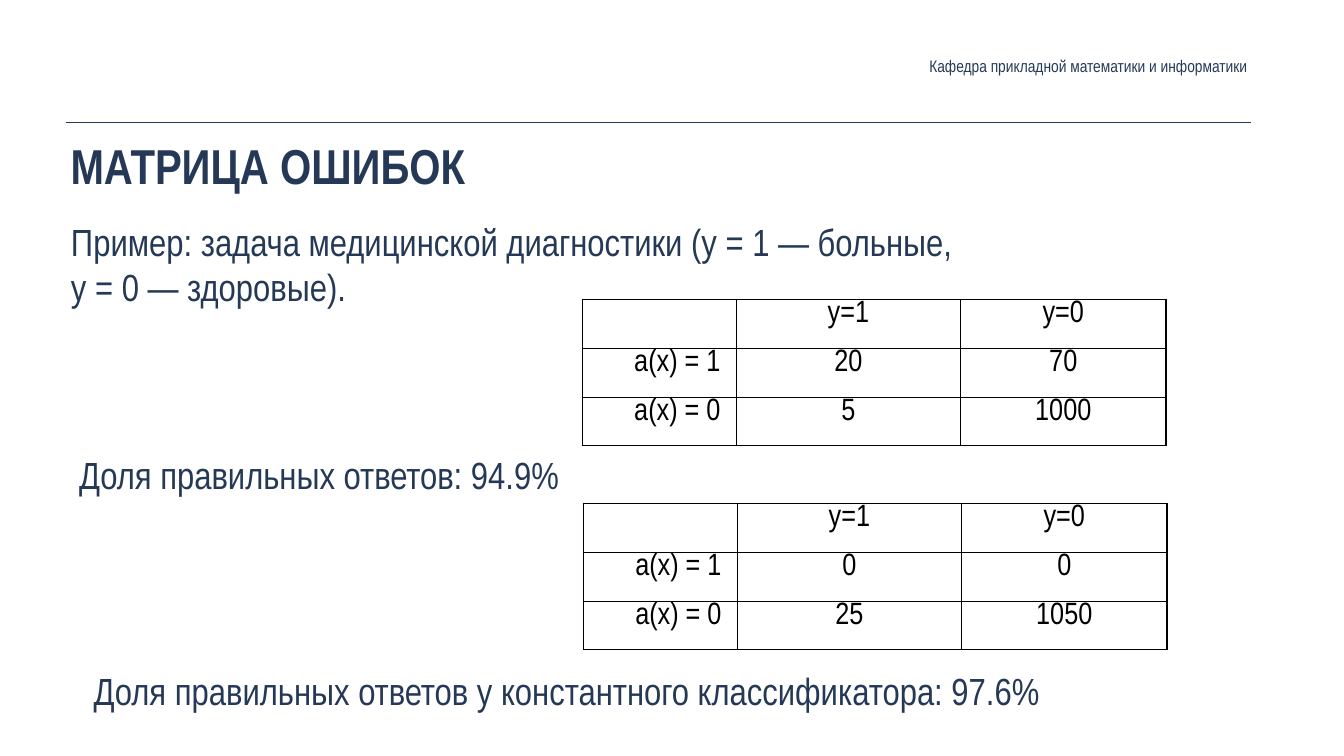
import pptx
import pptx.util
import pptx.dml.color
import pptx.enum.shapes
import pptx.enum.text
import pptx.oxml
import pptx.oxml.ns
from pptx.util import Inches

FONT = "Arial Narrow"
NAVY = "253957"
BLACK = "000000"
ALIGN = pptx.enum.text.PP_ALIGN
ANCHOR = pptx.enum.text.MSO_ANCHOR


def color(hex_value):
    return pptx.dml.color.RGBColor.from_string(hex_value)


def write(frame, text, size, hex_value, align=ALIGN.LEFT, bold=False):
    frame.text = text
    for para in frame.paragraphs:
        para.alignment = align
        for span in para.runs:
            span.font.name = FONT
            span.font.size = pptx.util.Pt(size)
            span.font.bold = bold
            span.font.color.rgb = color(hex_value)


deck = pptx.Presentation()
deck.slide_width = Inches(26.67)
deck.slide_height = Inches(15)
page = deck.slides.add_slide(deck.slide_layouts[5])

# Header rule
rule = page.shapes.add_connector(
    pptx.enum.shapes.MSO_CONNECTOR.STRAIGHT,
    Inches(1.31), Inches(2.42), Inches(24.83), Inches(2.42))
rule.line.color.rgb = color(NAVY)
rule.line.width = pptx.util.Pt(1)
rule._element.spPr.append(pptx.oxml.parse_xml(
    f"<a:effectLst {pptx.oxml.ns.nsdecls('a')}/>"))

# Title
title = page.shapes.title
title.left, title.top = Inches(1.32), Inches(2.6)
title.width, title.height = Inches(21.09), Inches(2.53)
write(title.text_frame, "МАТРИЦА ОШИБОК", 70, NAVY, bold=True)
title.text_frame.vertical_anchor = ANCHOR.TOP

# Department name
department = page.shapes.add_textbox(Inches(12.4), Inches(1.03), Inches(12.43), Inches(0.56))
write(department.text_frame, "Кафедра прикладной математики и информатики", 24, NAVY, ALIGN.RIGHT)
department.text_frame.word_wrap = True
department.text_frame.vertical_anchor = ANCHOR.MIDDLE

for frame in (title.text_frame, department.text_frame):
    frame.auto_size = pptx.enum.text.MSO_AUTO_SIZE.NONE
    frame.margin_left = frame.margin_right = Inches(0.08)
    frame.margin_top = frame.margin_bottom = Inches(0.08)

# Statements
statements = [
    (1.31, 4.29, 1.92, "Пример: задача медицинской диагностики (y = 1 — больные,\ny = 0 — здоровые)."),
    (1.47, 8.91, 1.01, "Доля правильных ответов: 94.9%"),
    (1.76, 13.19, 1.01, "Доля правильных ответов у константного классификатора: 97.6%"),
]
for left, top, height, text in statements:
    box = page.shapes.add_textbox(Inches(left), Inches(top), Inches(23.62), Inches(height))
    box.text_frame.word_wrap = True
    write(box.text_frame, text, 54, NAVY)

# Confusion matrices
matrices = [
    (11.56, 5.94, [("20", "70"), ("5", "1000")]),
    (11.58, 9.99, [("0", "0"), ("25", "1050")]),
]
for left, top, counts in matrices:
    rows = [("", "y=1", "y=0"), ("a(x) = 1", *counts[0]), ("a(x) = 0", *counts[1])]
    table = page.shapes.add_table(
        3, 3, Inches(left), Inches(top), Inches(11.58), Inches(2.9)).table
    table.first_row = table.horz_banding = False
    for column, width in zip(table.columns, (3.05, 4.45, 4.08)):
        column.width = Inches(width)
    for r, values in enumerate(rows):
        for c, value in enumerate(values):
            cell = table.cell(r, c)
            cell.margin_left = cell.margin_right = Inches(0.31)
            cell.margin_top = cell.margin_bottom = Inches(0.02)
            write(cell.text_frame, value, 44, BLACK, ALIGN.CENTER if c else ALIGN.RIGHT)
            # Heavy outer edges, thin inner ones
            outer = {"L": c == 0, "R": c == 2, "T": r == 0, "B": r == 2}
            for side, heavy in outer.items():
                width = pptx.util.Pt(2.25 if heavy else 1)
                cell._tc.get_or_add_tcPr().append(pptx.oxml.parse_xml(
                    f'<a:ln{side} {pptx.oxml.ns.nsdecls("a")} w="{width}"><a:solidFill>'
                    f'<a:srgbClr val="{BLACK}"/></a:solidFill></a:ln{side}>'))
            cell.fill.background()

deck.save("out.pptx")
